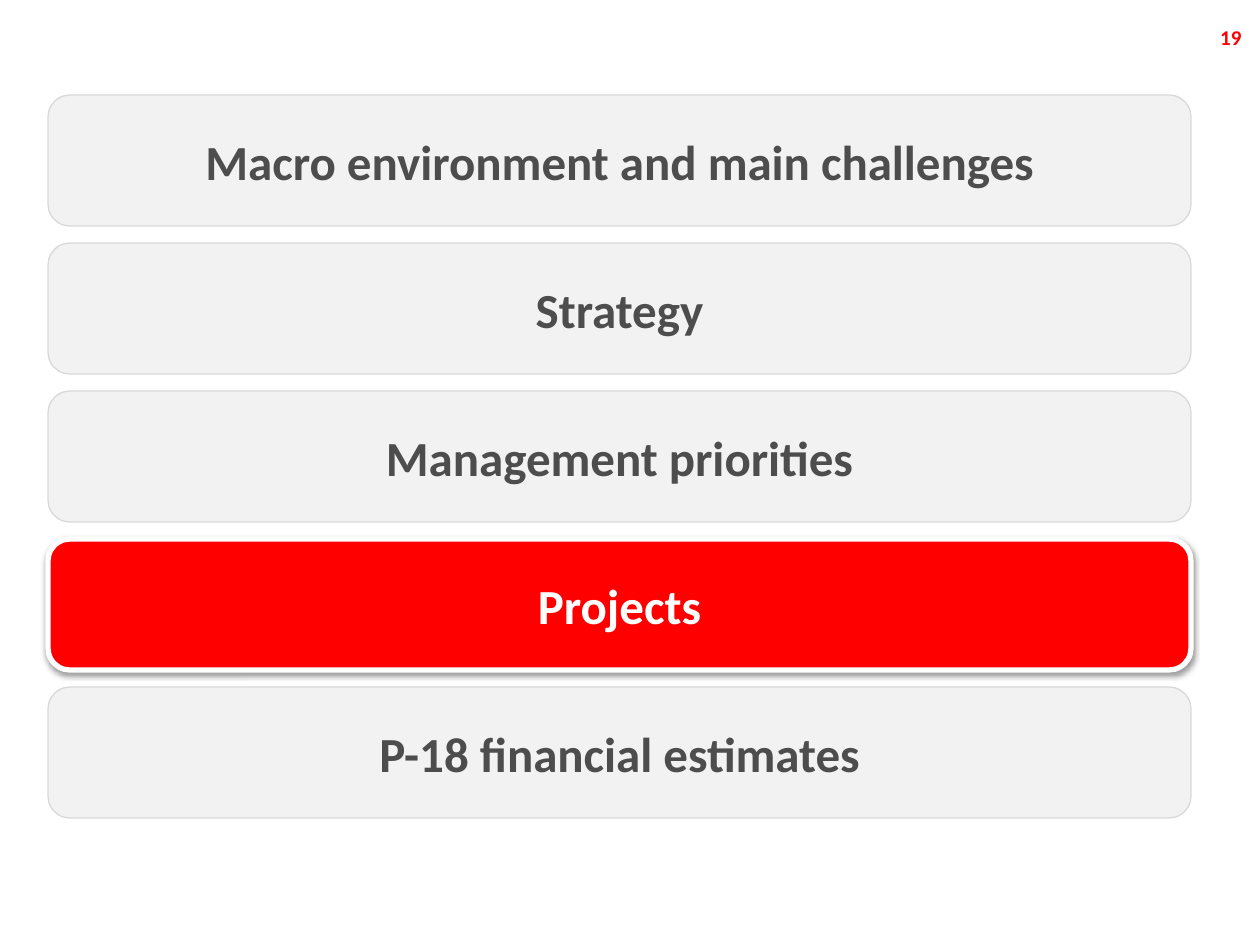
from lxml import etree
from pptx import Presentation, util as u
from pptx.dml.color import RGBColor
from pptx.enum import shapes, text
from pptx.oxml.ns import qn

PX = 914400 / 126
AGENDA = [
    "Macro environment and main challenges",
    "Strategy",
    "Management priorities",
    "Projects",
    "P-18 financial estimates",
]
CURRENT = "Projects"
LEFT, TOP, WIDTH, HEIGHT, STEP = 48, 95, 1143, 131, 148


def px(*lengths):
    return [round(length * PX) for length in lengths]


def color(value):
    return RGBColor.from_string(value)


def set_all(target, values):
    for name, value in values.items():
        setattr(target, name, value)


class AgendaSlide:
    font = {"name": "Calibri", "bold": True}
    margins = {"margin_left": u.Inches(0.06), "margin_right": u.Inches(0.06),
               "margin_top": u.Inches(0.05), "margin_bottom": u.Inches(0.05)}

    def __init__(self, slide):
        self.slide = slide

    def label(self, shape, words, size, ink, align, anchor):
        frame = shape.text_frame
        set_all(frame, {**self.margins, "word_wrap": True, "vertical_anchor": anchor})
        para = frame.paragraphs[0]
        para.alignment = align
        span = para.add_run()
        span.text = words
        set_all(span.font, {**self.font, "size": u.Pt(size)})
        span.font.color.rgb = color(ink)

    def page_number(self, number, left, top, width, height):
        box = self.slide.shapes.add_textbox(*px(left, top, width, height))
        self.label(box, number, 12, "FF0000", text.PP_ALIGN.RIGHT, text.MSO_ANCHOR.TOP)

    def bar(self, words, top, fill="F2F2F2", line="D9D9D9", line_width=0.75, ink="4D4D4D"):
        bar = self.slide.shapes.add_shape(
            shapes.MSO_SHAPE.ROUNDED_RECTANGLE, *px(LEFT, top, WIDTH, HEIGHT))
        bar.adjustments[0] = 0.167
        bar.fill.solid()
        bar.fill.fore_color.rgb = color(fill)
        bar.line.color.rgb = color(line)
        bar.line.width = u.Pt(line_width)
        bar.shadow.inherit = False
        self.label(bar, words, 28, ink, text.PP_ALIGN.CENTER, text.MSO_ANCHOR.MIDDLE)
        return bar

    def current_bar(self, words, top):
        bar = self.bar(words, top, fill="FF0000", line="FFFFFF", line_width=3, ink="FFFFFF")
        self.drop_shadow(bar)

    def drop_shadow(self, shape):
        effects = shape._element.spPr.find(qn("a:effectLst"))
        shadow = etree.SubElement(
            effects, qn("a:outerShdw"), blurRad=str(u.Pt(3.1)), dist=str(u.Pt(1.6)),
            dir="5400000", rotWithShape="0")
        tint = etree.SubElement(shadow, qn("a:srgbClr"), val="000000")
        etree.SubElement(tint, qn("a:alpha"), val="38000")


def main():
    deck = Presentation()
    deck.slide_width, deck.slide_height = u.Inches(10), u.Inches(7.5)
    page = AgendaSlide(deck.slides.add_slide(deck.slide_layouts[6]))
    page.page_number("19", 1196, 18, 53, 39)
    for row, topic in enumerate(AGENDA):
        draw = page.current_bar if topic == CURRENT else page.bar
        draw(topic, TOP + row * STEP)
    deck.save("out.pptx")


if __name__ == "__main__":
    main()
